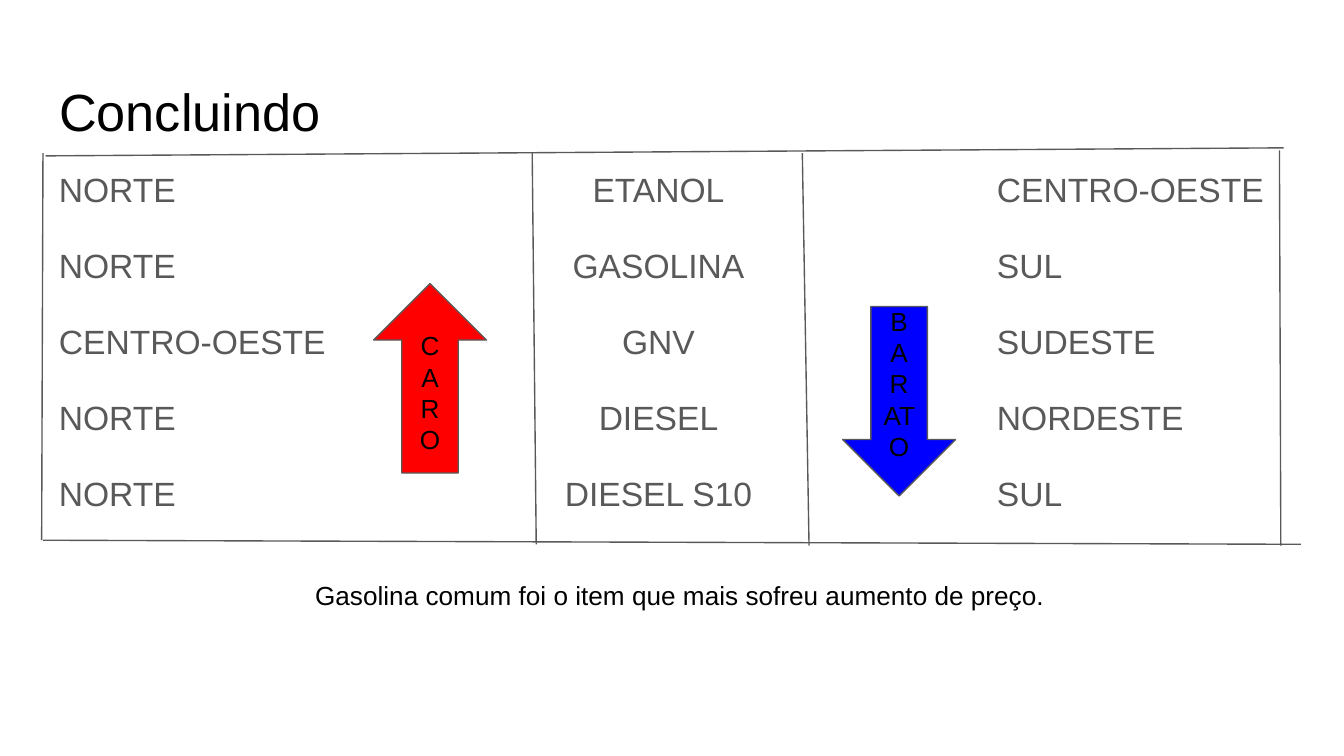
from lxml import etree
from pptx import Presentation
from pptx.dml.color import RGBColor
from pptx.enum.shapes import MSO_CONNECTOR, MSO_SHAPE
from pptx.enum.text import MSO_ANCHOR, MSO_AUTO_SIZE, PP_ALIGN
from pptx.oxml.ns import qn
from pptx.util import Inches, Pt

STRAIGHT = MSO_CONNECTOR.STRAIGHT
UP_ARROW = MSO_SHAPE.UP_ARROW
TOP, MIDDLE = MSO_ANCHOR.TOP, MSO_ANCHOR.MIDDLE
LEFT, CENTER = PP_ALIGN.LEFT, PP_ALIGN.CENTER
NO_AUTOFIT = MSO_AUTO_SIZE.NONE

TITLE_ONLY = 5
SLIDE_WIDTH = 10
SLIDE_HEIGHT = SLIDE_WIDTH * 9 / 16
FONT = "Arial"
BLACK, GRAY, RED, BLUE = "000000", "595959", "FF0000", "0000FF"

COLUMN_TOP, COLUMN_WIDTH, COLUMN_HEIGHT = 1.11, 2.34, 3.74
COLUMNS = [
    (0.34, LEFT, ["NORTE", "NORTE", "CENTRO-OESTE", "NORTE", "NORTE"]),
    (3.73, CENTER, ["ETANOL", "GASOLINA", "GNV", "DIESEL", "DIESEL S10"]),
    (7.32, LEFT, ["CENTRO-OESTE", "SUL", "SUDESTE", "NORDESTE", "SUL"]),
]
HAND_DRAWN_GRID = [
    (0.32, 1.14, 0.31, 4.02),
    (0.32, 4.02, 9.68, 4.05),
    (0.34, 1.16, 9.55, 1.10),
    (9.52, 1.12, 9.53, 4.06),
    (3.96, 1.14, 3.99, 4.05),
    (5.97, 1.14, 6.02, 4.06),
]


def color(hex_string):
    return RGBColor.from_string(hex_string)


def write(frame, lines, size=14, ink=BLACK, align=CENTER, anchor=TOP,
          line_spacing=1.0, gap=0):
    """Fill a text frame with one paragraph per line, gap points apart."""
    frame.word_wrap = True
    frame.auto_size = NO_AUTOFIT
    frame.vertical_anchor = anchor
    frame.margin_left = frame.margin_right = Inches(0.1)
    frame.margin_top = frame.margin_bottom = Inches(0.1)
    for index, line in enumerate(lines):
        para = frame.paragraphs[0] if index == 0 else frame.add_paragraph()
        para.alignment = align
        para.line_spacing = line_spacing
        para.space_before = Pt(gap if index else 0)
        span = para.add_run()
        span.text = line
        span.font.name = FONT
        span.font.size = Pt(size)
        span.font.color.rgb = color(ink)


class SlideBuilder:
    """Holds the line style and the slide being built."""

    line_color = GRAY
    line_width = Pt(0.75)

    def __init__(self, slide):
        self.slide = slide

    def style_line(self, line):
        line.color.rgb = color(self.line_color)
        line.width = self.line_width

    def title(self, text, left, top, width, height):
        title = self.slide.shapes.title
        title.left, title.top = Inches(left), Inches(top)
        title.width, title.height = Inches(width), Inches(height)
        write(title.text_frame, [text], size=28, align=LEFT)

    def text(self, lines, left, top, width, height, **text_format):
        box = self.slide.shapes.add_textbox(
            Inches(left), Inches(top), Inches(width), Inches(height))
        write(box.text_frame, lines, **text_format)

    def arrow(self, left, top, fill, rotation=0, label=None):
        arrow = self.slide.shapes.add_shape(
            UP_ARROW, Inches(left), Inches(top), Inches(0.84), Inches(1.41))
        arrow.rotation = rotation
        arrow.shadow.inherit = False
        arrow.fill.solid()
        arrow.fill.fore_color.rgb = color(fill)
        self.style_line(arrow.line)
        if label:
            write(arrow.text_frame, [label], anchor=MIDDLE)

    def line(self, x1, y1, x2, y2):
        line = self.slide.shapes.add_connector(
            STRAIGHT, Inches(x1), Inches(y1), Inches(x2), Inches(y2))
        self.style_line(line.line)
        etree.SubElement(line._element.spPr, qn("a:effectLst"))


def main():
    deck = Presentation()
    deck.slide_width, deck.slide_height = Inches(SLIDE_WIDTH), Inches(SLIDE_HEIGHT)
    page = SlideBuilder(deck.slides.add_slide(deck.slide_layouts[TITLE_ONLY]))

    page.title("Concluindo", 0.34, 0.49, 9.32, 0.63)
    for left, align, entries in COLUMNS:
        page.text(entries, left, COLUMN_TOP, COLUMN_WIDTH, COLUMN_HEIGHT,
                  size=18, ink=GRAY, align=align, line_spacing=1.15, gap=16)
    page.arrow(2.78, 2.11, RED, label="CARO")
    page.arrow(6.27, 2.28, BLUE, rotation=180)
    page.text(["BARATO"], 6.47, 2.17, 0.44, 1.41)
    page.text(["Gasolina comum foi o item que mais sofreu aumento de preço."],
              0.46, 4.21, 9.2, 1.1)
    for ends in HAND_DRAWN_GRID:
        page.line(*ends)

    deck.save("out.pptx")


if __name__ == "__main__":
    main()
